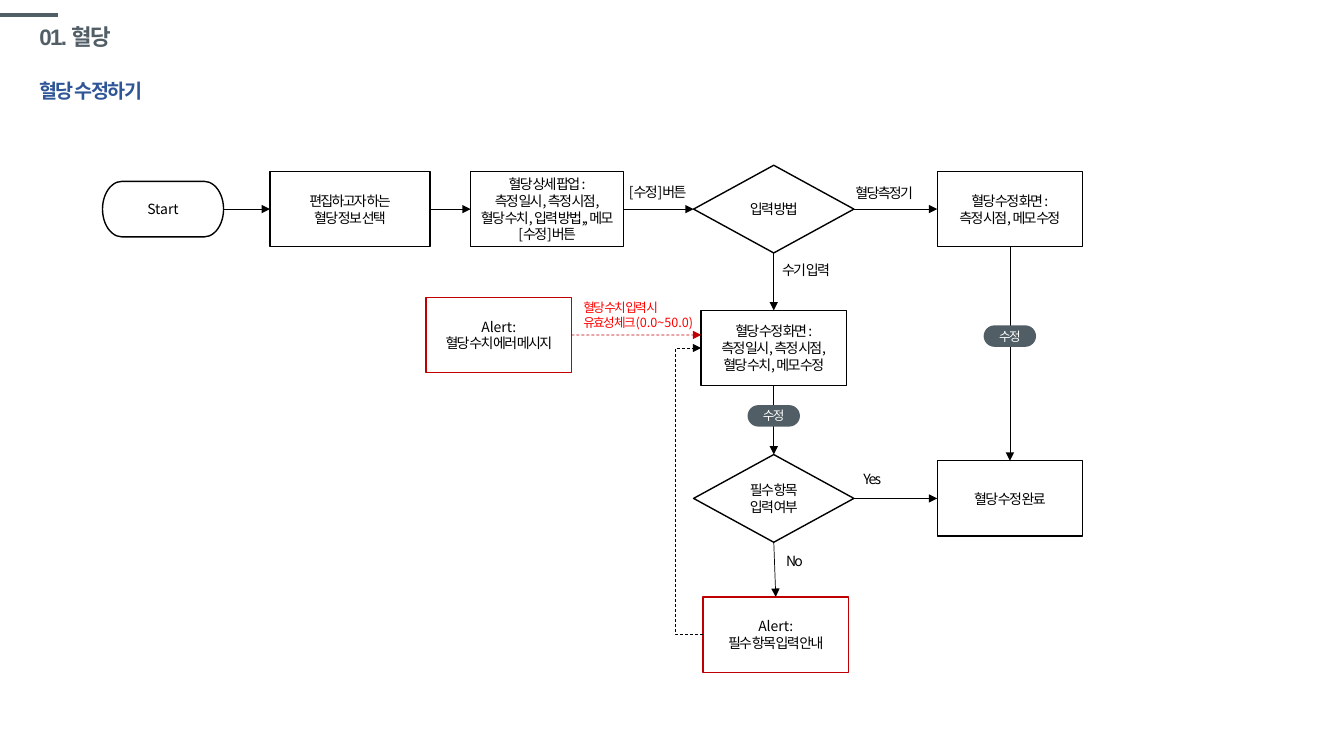
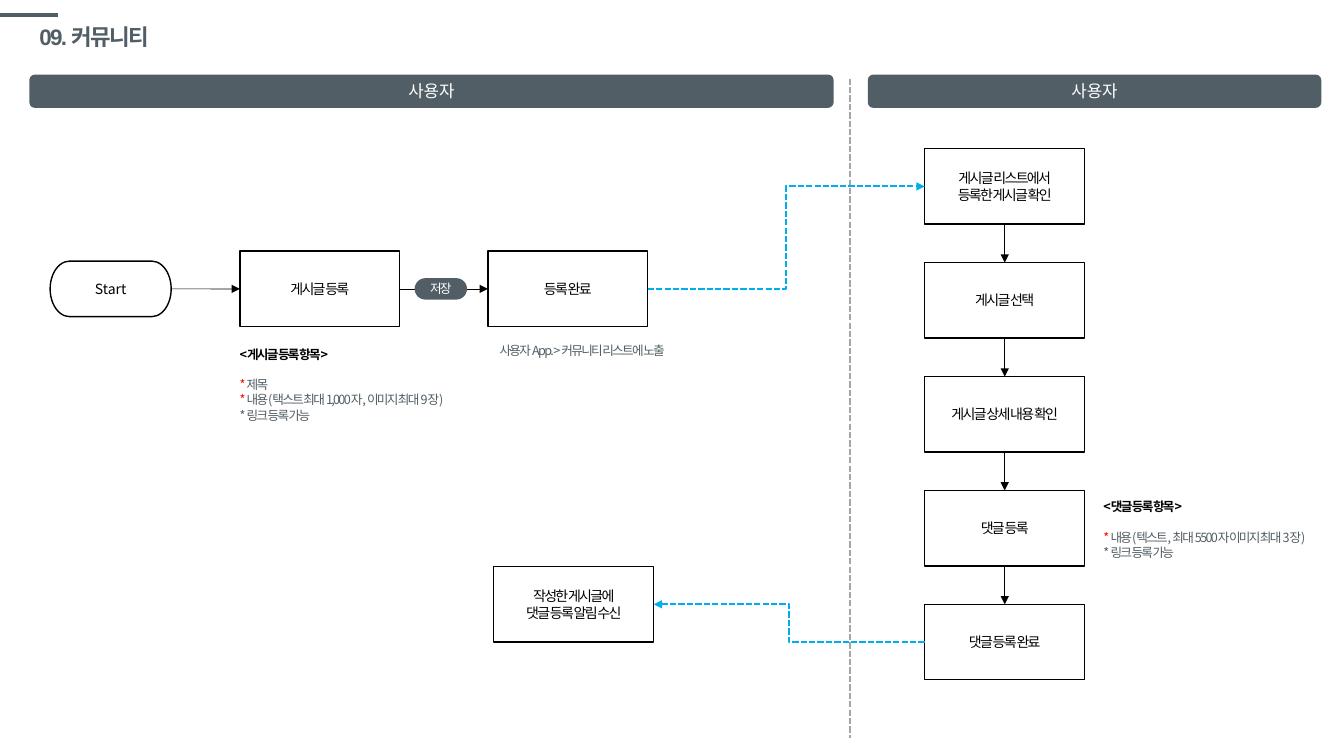
from lxml import etree
from pptx import Presentation
from pptx.dml.color import RGBColor
from pptx.enum.dml import MSO_LINE
from pptx.enum.shapes import MSO_CONNECTOR, MSO_SHAPE
from pptx.enum.text import MSO_ANCHOR, MSO_AUTO_SIZE, PP_ALIGN
from pptx.oxml.ns import qn
from pptx.util import Cm, Pt

SLATE = RGBColor(0x51, 0x5E, 0x65)
NAVY = RGBColor(0x2F, 0x55, 0x97)
BLACK = RGBColor(0, 0, 0)
WHITE = RGBColor(0xFF, 0xFF, 0xFF)
CRIMSON = RGBColor(0xC0, 0, 0)
RED = RGBColor(0xFF, 0, 0)
GRAY = RGBColor(0xA5, 0xA5, 0xA5)
SKY = RGBColor(0x00, 0xAE, 0xEF)

FONT, TITLE_FONT = "Noto Sans CJK KR", "Arial"
TIGHT = -1.2
PROCESS = MSO_SHAPE.FLOWCHART_PROCESS
DECISION = MSO_SHAPE.FLOWCHART_DECISION
TERMINATOR = MSO_SHAPE.FLOWCHART_TERMINATOR
ROUNDED = MSO_SHAPE.ROUNDED_RECTANGLE
STRAIGHT, ELBOW = MSO_CONNECTOR.STRAIGHT, MSO_CONNECTOR.ELBOW
DASH, SHORT_DASH = MSO_LINE.DASH, MSO_LINE.SQUARE_DOT
LEFT, CENTER = PP_ALIGN.LEFT, PP_ALIGN.CENTER
MIDDLE = MSO_ANCHOR.MIDDLE
TOP_SIDE, LEFT_SIDE, BOTTOM_SIDE, RIGHT_SIDE = range(4)

BOX_H = 1.9
WIDE, NARROW = 4.03, 3.66
TITLE_ONLY = 5


def style_run(r, size, color, bold=False, spacing=TIGHT, font=FONT):
    r.font.size, r.font.bold, r.font.name = Pt(size), bold, font
    r.font.color.rgb = color
    rPr = r._r.get_or_add_rPr()
    rPr.set("spc", str(round(spacing * 100)))
    ea = etree.Element(qn("a:ea"), typeface=FONT)
    rPr.find(qn("a:latin")).addnext(ea)


def write(tf, lines, size, color, align=LEFT, line_spacing=None, **style):
    """Fill tf; a line is a string or a list of (text, style overrides)."""
    for i, line in enumerate(lines):
        p = tf.paragraphs[0] if i == 0 else tf.add_paragraph()
        p.alignment = align
        if line_spacing:
            p.line_spacing = line_spacing
        parts = [(line, {})] if isinstance(line, str) else line
        for text, override in parts:
            r = p.add_run()
            r.text = text
            style_run(r, **{"size": size, "color": color, **style, **override})


def loose(text):
    return [(text, {"spacing": 0})]


def text_box(s, x, y, w, h, lines, size=10, color=BLACK, **style):
    tf = s.shapes.add_textbox(Cm(x), Cm(y), Cm(w), Cm(h)).text_frame
    tf.word_wrap = True
    write(tf, lines, size, color, **style)
    return tf


def label(s, x, y, w, text):
    text_box(s, x, y, w, 0.75, [text], line_spacing=1.2)


def filled_shape(s, kind, x, y, w, h, fill):
    sp = s.shapes.add_shape(kind, Cm(x), Cm(y), Cm(w), Cm(h))
    sp.shadow.inherit = False
    sp.fill.solid()
    sp.fill.fore_color.rgb = fill
    sp.line.fill.background()
    sp.text_frame.vertical_anchor = MIDDLE
    return sp


def node(s, cx, cy, lines, w=WIDE, h=BOX_H, kind=PROCESS, outline=BLACK):
    """Flowchart symbol centred on (cx, cy)."""
    sp = filled_shape(s, kind, cx - w / 2, cy - h / 2, w, h, WHITE)
    sp.line.color.rgb, sp.line.width = outline, Pt(1)
    sp.text_frame.word_wrap = False
    write(sp.text_frame, lines, 10, BLACK, CENTER)
    return sp


def start(s, cx, cy):
    return node(s, cx, cy, [loose("Start")], 3.05, 1.4, TERMINATOR)


def decision(s, cx, cy, lines):
    return node(s, cx, cy, lines, 4.04, 2.21, DECISION)


def pill(s, cx, cy, text):
    w, h = 1.32, 0.54
    sp = filled_shape(s, ROUNDED, cx - w / 2, cy - h / 2, w, h, SLATE)
    sp.adjustments[0] = 0.5
    tf = sp.text_frame
    tf.margin_left = tf.margin_right = tf.margin_top = tf.margin_bottom = 0
    write(tf, [text], 9, WHITE, CENTER)


def connector(s, x1, y1, x2, y2, color=BLACK, width=0.5, dash=None,
              kind=STRAIGHT, arrow=True):
    c = s.shapes.add_connector(kind, Cm(x1), Cm(y1), Cm(x2), Cm(y2))
    c.line.color.rgb, c.line.width = color, Pt(width)
    if dash:
        c.line.dash_style = dash
    spPr = c._element.spPr
    if arrow:
        etree.SubElement(spPr.find(qn("a:ln")), qn("a:tailEnd"), type="triangle")
    etree.SubElement(spPr, qn("a:effectLst"))
    return c


def arrow_between(s, a, a_side, b, b_side):
    c = connector(s, 0, 0, 1, 1)
    c.begin_connect(a, a_side)
    c.end_connect(b, b_side)


def arrow_chain(s, nodes, out_side, in_side):
    for a, b in zip(nodes, nodes[1:]):
        arrow_between(s, a, out_side, b, in_side)


def elbow(s, x1, y1, x2, y2, turn_x=None, **line):
    """Horizontal-vertical-horizontal arrow that turns at turn_x."""
    c = connector(s, x1, y1, x2, y2, kind=ELBOW, **line)
    if turn_x is not None:
        adj = round((turn_x - x1) / (x2 - x1) * 100000)
        geom = c._element.spPr.find(qn("a:prstGeom"))
        guides = geom.find(qn("a:avLst"))
        etree.SubElement(guides, qn("a:gd"), name="adj1", fmla=f"val {adj}")


def titled_slide(prs, title):
    s = prs.slides.add_slide(prs.slide_layouts[TITLE_ONLY])
    sp = s.shapes.title
    sp.left, sp.top, sp.width, sp.height = Cm(0.74), Cm(0.48), Cm(29.21), Cm(0.99)
    tf = sp.text_frame
    tf.auto_size, tf.vertical_anchor = MSO_AUTO_SIZE.NONE, MIDDLE
    write(tf, [title], 16, SLATE, line_spacing=0.9, bold=True, font=TITLE_FONT)
    return s


def add_layout_accent(prs, s):
    """Put the short rule above the title on the shared layout."""
    rule = connector(s, 0, 0.38, 1.47, 0.38, SLATE, 3, arrow=False)
    prs.slide_layouts[TITLE_ONLY].shapes.element.append(rule._element)


def edit_flow(s, x, y):
    """Flow whose Start symbol has its left middle at (x, y)."""
    mid, right = x + 16.91, x + 22.86
    form_y, check_y, alert_y = y + 3.5, y + 7.29, y + 10.72
    row = [
        start(s, x + 1.52, y),
        node(s, x + 6.23, y, ["편집하고자 하는", "혈당 정보 선택"]),
        node(s, x + 11.2, y, ["혈당 상세 팝업 :", "측정 일시, 측정 시점,",
                              "혈당 수치, 입력 방법,, 메모", "[수정]버튼"], 3.86),
        decision(s, mid, y, ["입력 방법"]),
        node(s, right, y, ["혈당 수정 화면 :", "측정 시점, 메모 수정"], NARROW),
    ]
    method, device_form = row[3:]
    form = node(s, mid, form_y, ["혈당 수정 화면 :", "측정 일시, 측정 시점,",
                                 "혈당 수치, 메모 수정"], NARROW)
    check = decision(s, mid, check_y, ["필수 항목", "입력 여부"])
    done = node(s, right, check_y, ["혈당 수정 완료"], NARROW)
    value_alert = node(s, x + 9.98, y + 3.17, [loose("Alert:"), "혈당 수치 에러 메시지"],
                       NARROW, outline=CRIMSON)
    alert_x = mid + 0.05
    blank_alert = node(s, alert_x, alert_y, [loose("Alert:"), "필수 항목 입력 안내"],
                       NARROW, outline=CRIMSON)

    arrow_chain(s, row, RIGHT_SIDE, LEFT_SIDE)
    arrow_chain(s, [method, form, check, blank_alert], BOTTOM_SIDE, TOP_SIDE)
    arrow_between(s, check, RIGHT_SIDE, done, LEFT_SIDE)
    arrow_between(s, device_form, BOTTOM_SIDE, done, TOP_SIDE)
    form_left = mid - NARROW / 2
    validity = connector(s, x + 11.81, y + 3.17, form_left, y + 3.17, CRIMSON, dash=DASH)
    validity.begin_connect(value_alert, RIGHT_SIDE)
    elbow(s, alert_x - NARROW / 2, alert_y, form_left, form_y,
          turn_x=form_left - 0.64, dash=DASH)

    pill(s, mid, y + 5.21, "수정")
    pill(s, right, y + 3.2, "수정")
    label(s, x + 13.01, y - 0.85, 2.26, "[수정]버튼")
    label(s, x + 18.72, y - 0.82, 2.26, "혈당측정기")
    label(s, x + 16.87, y + 1.11, 2.01, "수기 입력")
    label(s, x + 18.92, y + 6.39, 1.32, "Yes")
    label(s, x + 16.97, y + 8.45, 1.32, "No")
    text_box(s, x + 11.86, y + 2.17, 3.4, 1.02,
             ["혈당 수치 입력 시",
              [("유효성 체크(", {}), ("0.0~50.0", {"spacing": 0}), (")", {})]], 9, RED)


def lane_header(s, x, y, w, text):
    sp = filled_shape(s, ROUNDED, x, y, w, 0.84, SLATE)
    write(sp.text_frame, [text], 12, WHITE, CENTER, spacing=0)


def item_notes(s, x, y, w, h, heading, required, optional):
    """Bold heading over items; required ones have a red asterisk."""
    lines = [[(heading, {"bold": True, "color": BLACK})]]
    lines += [[("* ", {"color": RED}), (item, {})] for item in required]
    lines += ["* " + item for item in optional]
    tf = text_box(s, x, y, w, h, lines, 9, SLATE)
    tf.paragraphs[1].space_before = Pt(11)


def posting_lane(s, x, y, w):
    lane_header(s, x, y, w, "사용자")
    row_y = y + 5.4
    row = [start(s, x + 2.05, row_y),
           node(s, x + 7.32, row_y, ["게시글 등록"]),
           node(s, x + 13.57, row_y, ["등록 완료"])]
    arrow_chain(s, row, RIGHT_SIDE, LEFT_SIDE)
    pill(s, x + 10.37, row_y, "저장")
    item_notes(s, x + 5.05, y + 6.73, 5.72, 2.18, "<게시글 등록 항목>",
               ["제목", "내용(택스트 최대 1,000자, 이미지 최대 9장)"], ["링크 등록 가능"])
    text_box(s, x + 11.6, y + 6.63, 5.21, 0.64,
             ["사용자 App. > 커뮤니티 리스트에 노출"], 9, SLATE)
    notice_x, notice_y = x + 13.72, y + 13.35
    node(s, notice_x, notice_y, ["작성한 게시글에", "댓글 등록 알림 수신"])
    return (x + 13.57 + WIDE / 2, row_y), (notice_x + WIDE / 2, notice_y)


def comment_lane(s, x, y, w):
    lane_header(s, x, y, w, "사용자")
    cx, first_y, pitch = x + 3.45, y + 2.82, 2.87
    steps = [["게시글 리스트에서", "등록한 게시글 확인"], ["게시글 선택"],
             ["게시글 상세 내용 확인"], ["댓글 등록"], ["댓글 등록 완료"]]
    column = [node(s, cx, first_y + i * pitch, step) for i, step in enumerate(steps)]
    arrow_chain(s, column, BOTTOM_SIDE, TOP_SIDE)
    item_notes(s, x + 5.69, y + 10.57, 6.05, 1.8, "<댓글 등록 항목>",
               ["내용(텍스트, 최대 5500자 이미지 최대 3장)"], ["링크 등록 가능"])
    left = cx - WIDE / 2
    return (left, first_y), (left, first_y + 4 * pitch)


def main():
    prs = Presentation()
    prs.slide_width, prs.slide_height = Cm(33.87), Cm(19.05)

    s = titled_slide(prs, "01. 혈당")
    add_layout_accent(prs, s)
    text_box(s, 0.74, 1.57, 7.32, 1.04, ["혈당 수정하기"], 14, NAVY,
             bold=True, line_spacing=1.5)
    edit_flow(s, 2.59, 5.27)

    s = titled_slide(prs, "09. 커뮤니티")
    connector(s, 21.41, 1.98, 21.41, 18.59, GRAY, 1.5, SHORT_DASH, arrow=False)
    posted, notified = posting_lane(s, 0.74, 1.88, 20.27)
    listed, commented = comment_lane(s, 21.87, 1.88, 11.43)
    for begin, end in ((posted, listed), (commented, notified)):
        elbow(s, *begin, *end, color=SKY, width=1.5, dash=SHORT_DASH)

    prs.save("out.pptx")


if __name__ == "__main__":
    main()
